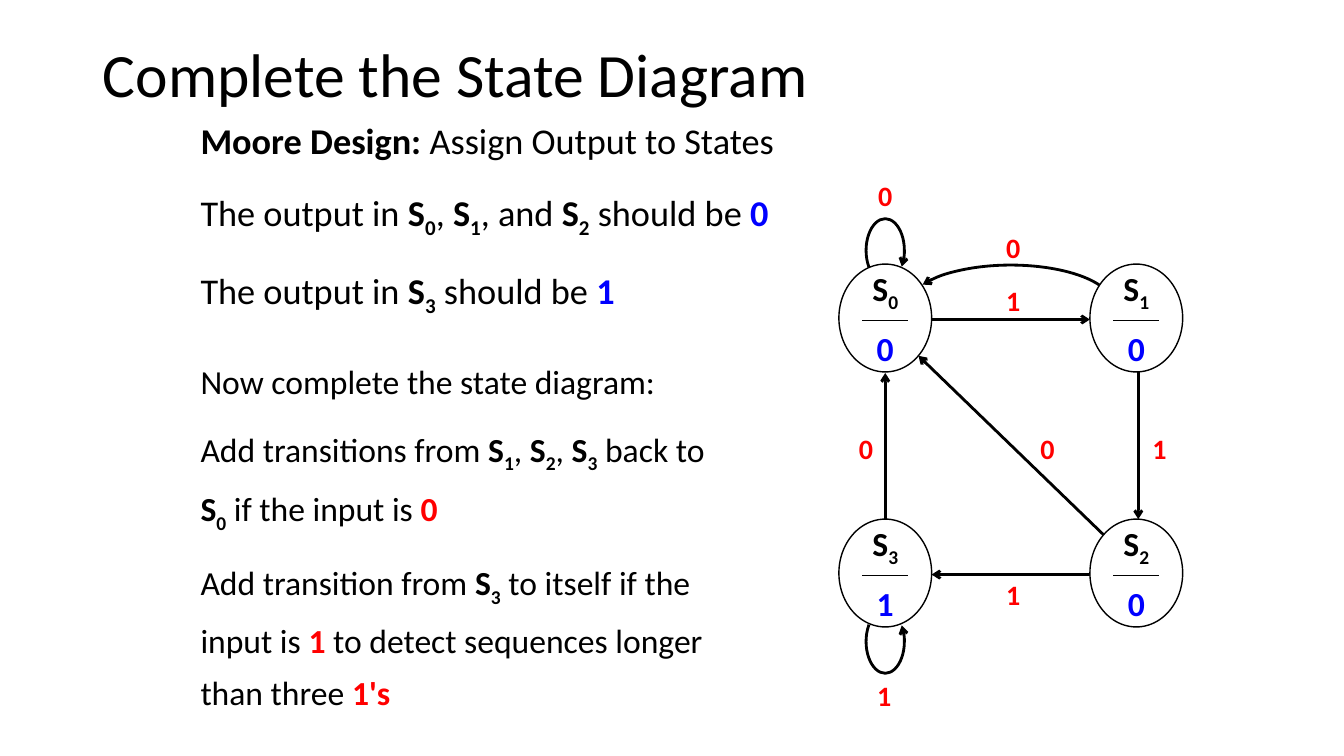
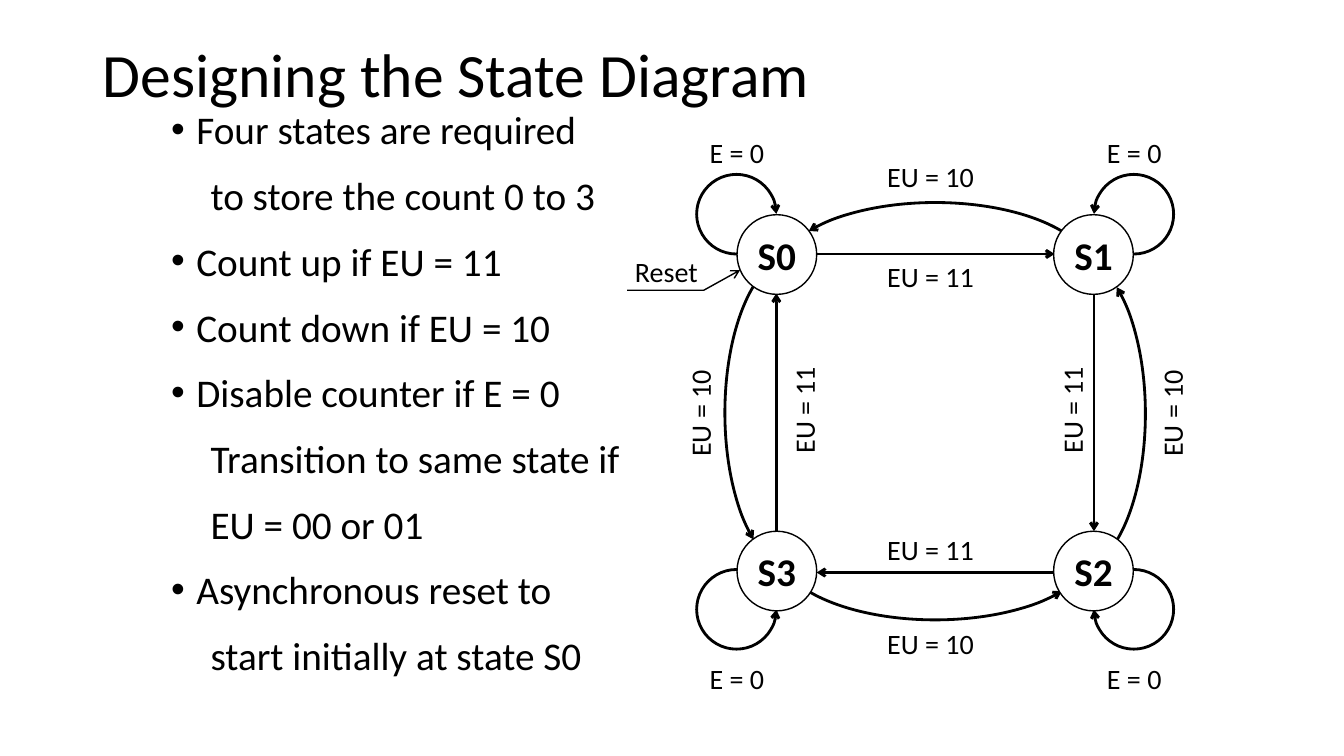
from dataclasses import dataclass
from itertools import product

from lxml import etree
from pptx import Presentation
from pptx.dml.color import RGBColor
from pptx.enum import shapes, text
from pptx.oxml.ns import qn
from pptx.util import Inches, Pt

BLACK = RGBColor(0, 0, 0)
WHITE = RGBColor(255, 255, 255)
RED = RGBColor(255, 0, 0)
BLUE = RGBColor(0, 0, 255)
FONT = "Calibri"
LOOP_SWEEP = (80.3, 26.56)
CORNER_SWEEP = (146.8, 107.76)
BOW_SWEEP = (119.44, 204.62)


@dataclass
class Piece:
    """A stretch of text with one look."""
    words: str
    color: RGBColor = BLACK
    bold: bool = False
    subscript: bool = False


def state_name(number):
    """Return the pieces of a bold S with its subscript."""
    return [Piece("S", bold=True), Piece(str(number), bold=True, subscript=True)]


def key(words, color=BLACK):
    """Return a bold piece in a colour."""
    return Piece(words, color, True)


def write(paragraph, pieces, size):
    """Add the pieces to a paragraph as runs."""
    for piece in pieces:
        if isinstance(piece, str):
            piece = Piece(piece)
        run = paragraph.add_run()
        run.text = piece.words
        font = run.font
        font.name, font.size, font.bold = FONT, Pt(size), piece.bold
        font.color.rgb = piece.color
        if piece.subscript:
            run._r.get_or_add_rPr().set("baseline", "-25000")


def fill_frame(frame, paragraphs, size, align=text.PP_ALIGN.LEFT, spacing=None, before=0):
    """Write a list of paragraphs into a text frame."""
    for index, pieces in enumerate(paragraphs):
        paragraph = frame.add_paragraph() if index else frame.paragraphs[0]
        paragraph.alignment = align
        if spacing:
            paragraph.line_spacing = spacing
        if index and before:
            paragraph.space_before = Pt(before)
        write(paragraph, pieces, size)


def no_insets(frame):
    """Centre a frame's text vertically without margins."""
    frame.margin_left = frame.margin_right = frame.margin_top = frame.margin_bottom = 0
    frame.vertical_anchor = text.MSO_ANCHOR.MIDDLE


def titled_slide(prs, title):
    """Add a title-only slide with the shared title style."""
    slide = prs.slides.add_slide(prs.slide_layouts[5])
    heading = slide.shapes.title
    heading.left, heading.top = Inches(0.92), Inches(0.04)
    heading.width, heading.height = Inches(11.5), Inches(1.45)
    frame = heading.text_frame
    frame.auto_size = text.MSO_AUTO_SIZE.NONE
    frame.vertical_anchor = text.MSO_ANCHOR.MIDDLE
    fill_frame(frame, [[title]], 44, spacing=0.9)
    return slide


def text_block(slide, box, paragraphs, size, spacing, before):
    """Add a wrapped block of paragraphs."""
    frame = slide.shapes.add_textbox(*map(Inches, box)).text_frame
    frame.word_wrap = True
    fill_frame(frame, paragraphs, size, spacing=spacing, before=before)
    return frame


def label(slide, center, words, color=BLACK, bold=False, rotation=0):
    """Add a short label around its centre."""
    width, height = 1, 0.34
    x, y = center
    box = slide.shapes.add_textbox(Inches(x - width / 2), Inches(y - height / 2),
                                   Inches(width), Inches(height))
    box.rotation = rotation
    box.text_frame.word_wrap = False
    no_insets(box.text_frame)
    fill_frame(box.text_frame, [[Piece(words, color, bold)]], 20, text.PP_ALIGN.CENTER)


def stroke(part, width, arrow=None):
    """Draw a black line, with an arrowhead at headEnd or tailEnd."""
    part.line.color.rgb = BLACK
    part.line.width = Pt(width)
    properties = part._element.spPr
    if arrow:
        etree.SubElement(properties.find(qn("a:ln")), qn(f"a:{arrow}")).set("type", "arrow")
    if properties.find(qn("a:effectLst")) is None:
        etree.SubElement(properties, qn("a:effectLst"))


def link(slide, start, end, width=2, arrow="tailEnd"):
    """Add a straight transition."""
    line = slide.shapes.add_connector(shapes.MSO_CONNECTOR.STRAIGHT,
                                      *map(Inches, (*start, *end)))
    stroke(line, width, arrow)


def arc(slide, box, sweep, arrow="tailEnd", flips=(), rotation=0):
    """Add a curved transition."""
    curve = slide.shapes.add_shape(shapes.MSO_SHAPE.ARC, *map(Inches, box))
    curve.adjustments[0], curve.adjustments[1] = sweep
    curve.fill.background()
    curve.rotation = rotation
    for flip in flips:
        curve._element.spPr.find(qn("a:xfrm")).set(flip, "1")
    stroke(curve, 2, arrow)


def state(slide, box, paragraphs, size):
    """Add a state bubble."""
    bubble = slide.shapes.add_shape(shapes.MSO_SHAPE.OVAL, *map(Inches, box))
    bubble.fill.solid()
    bubble.fill.fore_color.rgb = WHITE
    stroke(bubble, 1)
    no_insets(bubble.text_frame)
    fill_frame(bubble.text_frame, paragraphs, size, text.PP_ALIGN.CENTER)
    return bubble


def moore_diagram(slide, left, top):
    """Draw the sequence detector from the corner of its first state."""
    def at(x, y):
        return left + x, top + y

    width, height, pitch_x, pitch_y = 0.92, 1.07, 2.49, 2.53
    arc(slide, (*at(0.69, 0.01), 2.03, 0.79), (115.8, 209.3), "headEnd")
    arc(slide, (*at(0.27, -0.45), 0.38, 0.63), LOOP_SWEEP)
    for start, end in [((0.46, 2.93), (0.46, 1.08)), ((2.63, 2.69), (0.79, 0.91)),
                       ((2.92, 3.08), (0.92, 3.08)), ((2.97, 0.69), (2.97, 2.53)),
                       ((0.5, 0.55), (2.49, 0.55))]:
        link(slide, at(*start), at(*end))
    for number, column, row, output in [(0, 0, 0, "0"), (1, 1, 0, "0"),
                                        (2, 1, 1, "0"), (3, 0, 1, "1")]:
        x, y = at(column * pitch_x, row * pitch_y)
        bubble = state(slide, (x, y, width, height),
                       [state_name(number), [key(output, BLUE)]], 24)
        bubble.text_frame.paragraphs[0].space_after = Pt(10)
        link(slide, (x + width / 4, y + 0.56), (x + width * 3 / 4, y + 0.56), 1, None)
    arc(slide, (*at(0.27, 3.43), 0.38, 0.63), LOOP_SWEEP, flips=["flipV"])
    for x, y, digit in [(1.73, -0.17, "0"), (0.27, 1.83, "0"), (2.07, 1.83, "0"),
                        (1.73, 0.36, "1"), (3.18, 1.83, "1"), (1.73, 3.28, "1"),
                        (0.46, -0.68, "0"), (0.45, 4.28, "1")]:
        label(slide, at(x, y), digit, RED, True)


def counter_diagram(slide, left, top):
    """Draw the up/down counter from the corner of its first state."""
    def at(x, y):
        return left + x, top + y

    size, pitch = 0.79, 3.14
    for column, row in product((0, 1), repeat=2):
        flips = [flip for flip, used in (("flipH", not column), ("flipV", not row)) if used]
        arc(slide, (*at(-0.4 + column * 3.94, -0.4 + row * 3.92), size, size),
            CORNER_SWEEP, flips=flips)
        label(slide, at(column * 3.94, -0.62 + row * 5.22), "E = 0")
    for start, end in [((3.4, 3.55), (0.79, 3.55)), ((3.54, 0.53), (3.54, 3.14)),
                       ((0.39, 3.39), (0.39, 0.78)), ((0.54, 0.39), (3.15, 0.39))]:
        link(slide, at(*start), at(*end))
    for x, y, arrow, flips, rotation in [(-0.98, 1.25, "tailEnd", ["flipV"], 90),
                                         (0.39, 2.59, "tailEnd", ["flipV"], 0),
                                         (0.39, -0.12, "headEnd", [], 0),
                                         (1.76, 1.26, "tailEnd", ["flipV"], 270)]:
        arc(slide, (*at(x, y), 3.15, 1.43), BOW_SWEEP, arrow, flips, rotation)
    for x, y, words, rotation in [(1.92, 0.61, "EU = 11", 0), (1.92, 3.32, "EU = 11", 0),
                                  (0.66, 1.94, "EU = 11", 270), (3.32, 1.94, "EU = 11", 270),
                                  (1.92, -0.38, "EU = 10", 0), (1.92, 4.25, "EU = 10", 0),
                                  (-0.37, 1.97, "EU = 10", 270), (4.31, 1.97, "EU = 10", 270)]:
        label(slide, at(x, y), words, rotation=rotation)
    for name, column, row in [("S0", 0, 0), ("S1", 1, 0), ("S3", 0, 1), ("S2", 1, 1)]:
        state(slide, (*at(column * pitch, row * pitch), size, size), [[key(name)]], 28)
    underline, bend, tip = [tuple(map(Inches, at(x, y)))
                            for x, y in ((-1.09, 0.75), (-0.33, 0.75), (0.03, 0.55))]
    builder = slide.shapes.build_freeform(*underline)
    builder.add_line_segments([bend, tip], close=False)
    reset = builder.convert_to_shape()
    reset.fill.background()
    stroke(reset, 1, "tailEnd")
    label(slide, at(-0.7, 0.56), "Reset")


def counter_notes(slide, box, lines):
    """Add bulleted notes whose continuation lines are indented."""
    frame = text_block(slide, box, [], 28, None, 0)
    for index, (words, bulleted) in enumerate(lines):
        paragraph = frame.add_paragraph() if index else frame.paragraphs[0]
        properties = paragraph._p.get_or_add_pPr()
        properties.set("marL", str(Inches(0.25 if bulleted else 0.39)))
        properties.set("indent", str(Inches(-0.25 if bulleted else 0)))
        if bulleted:
            etree.SubElement(properties, qn("a:buFont")).set("typeface", "Arial")
            etree.SubElement(properties, qn("a:buChar")).set("char", "•")
        paragraph.line_spacing = 0.8
        if index:
            paragraph.space_before = Pt(20)
        write(paragraph, [words], 28)


def moore_slide(prs):
    """Build the slide on the Moore design."""
    slide = titled_slide(prs, "Complete the State Diagram")
    text_block(slide, (1.89, 0.99, 6.35, 2.31), [
        [key("Moore Design:"), " Assign Output to States"],
        ["The output in ", *state_name(0), ", ", *state_name(1), ", and ", *state_name(2),
         " should be ", key("0", BLUE)],
        ["The output in ", *state_name(3), " should be ", key("1", BLUE)],
    ], 25.9, 1.3, 10)
    text_block(slide, (1.89, 3.41, 5.32, 3.64), [
        ["Now complete the state diagram:"],
        ["Add transitions from ", *state_name(1), ", ", *state_name(2), ", ", *state_name(3),
         " back to ", *state_name(0), " if the input is ", key("0", RED)],
        ["Add transition from ", *state_name(3), " to itself if the input is ", key("1", RED),
         " to detect sequences longer than three ", key("1's", RED)],
    ], 24, 1.3, 10)
    moore_diagram(slide, 8.32, 2.62)


def counter_slide(prs):
    """Build the slide on the counter."""
    slide = titled_slide(prs, "Designing the State Diagram")
    counter_notes(slide, (1.6, 1.09, 4.87, 6.05), [
        ("Four states are required", True),
        ("to store the count 0 to 3", False),
        ("Count up if EU = 11", True),
        ("Count down if EU = 10", True),
        ("Disable counter if E = 0", True),
        ("Transition to same state if", False),
        ("EU = 00 or 01", False),
        ("Asynchronous reset to", True),
        ("start initially at state S0", False),
    ])
    counter_diagram(slide, 7.31, 2.13)


def main():
    """Build and save the presentation."""
    prs = Presentation()
    prs.slide_width, prs.slide_height = Inches(13.33), Inches(7.5)
    moore_slide(prs)
    counter_slide(prs)
    prs.save("out.pptx")


if __name__ == "__main__":
    main()
